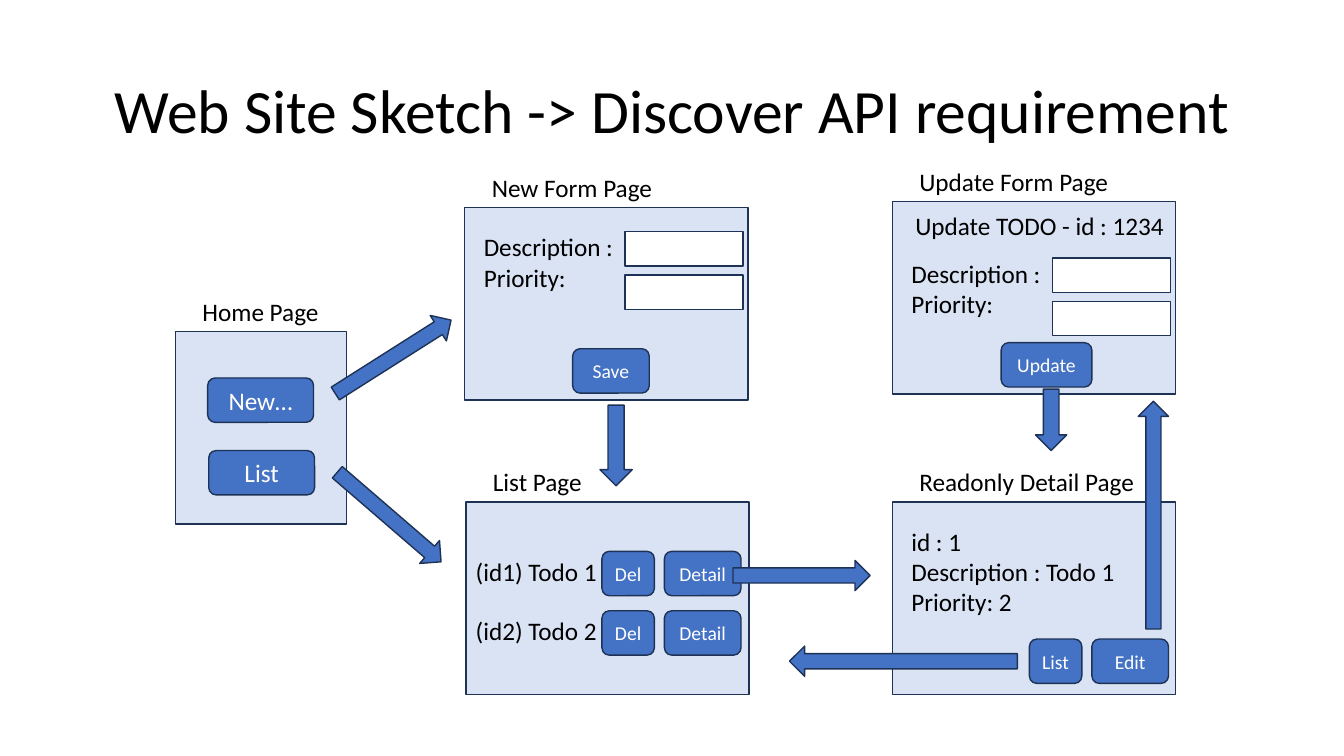
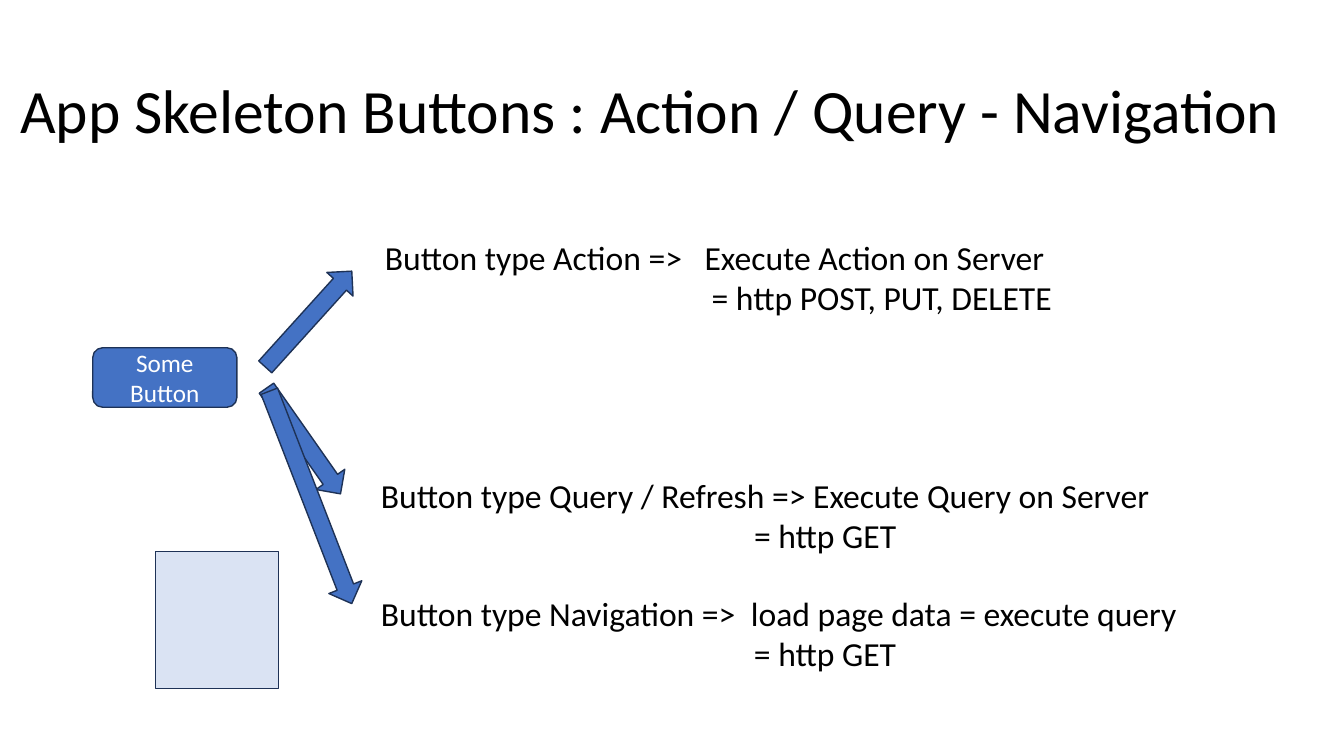
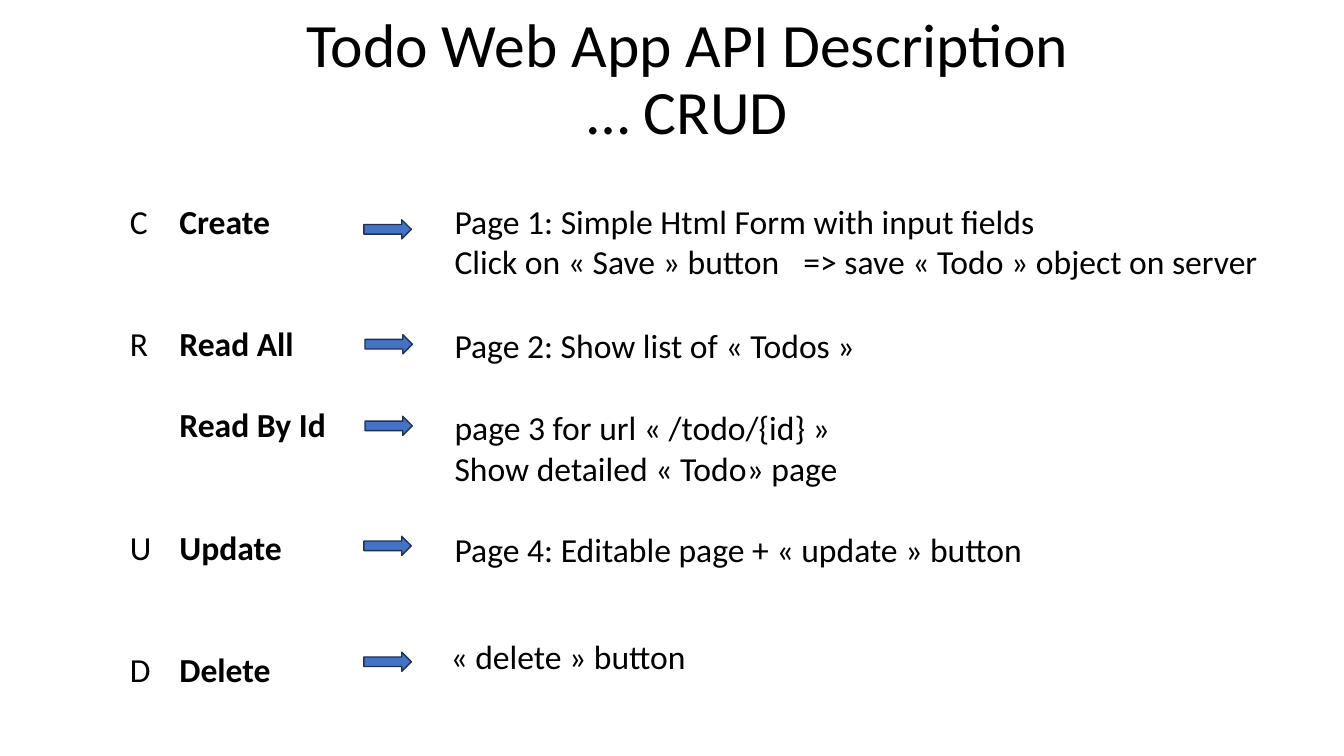
from dataclasses import dataclass

from lxml.etree import SubElement
from pptx import Presentation
from pptx.dml.color import RGBColor
from pptx.enum.shapes import MSO_SHAPE as ShapeKind
from pptx.enum.text import MSO_ANCHOR as Anchor
from pptx.enum.text import MSO_AUTO_SIZE as AutoSize
from pptx.enum.text import PP_ALIGN as Align
from pptx.oxml.ns import qn
from pptx.shapes.autoshape import Shape
from pptx.slide import Slide
from pptx.text.text import _Paragraph as Paragraph
from pptx.util import Emu, Pt

PX = 9144
FONT = "Calibri"
BLACK, WHITE = "000000", "FFFFFF"
BLUE, PALE, OUTLINE = "4472C4", "DAE3F3", "1E3256"
LINE_FACTOR = 1.22
TITLE_ONLY = 5


@dataclass(frozen=True)
class Box:
    x: int
    y: int
    width: int
    height: int


@dataclass(frozen=True)
class Label:
    x: int
    y: int
    width: int
    lines: tuple[str, ...]
    size: int = 18
    tab: int = 0
    indent: int = 0


@dataclass(frozen=True)
class Page:
    caption: str
    caption_width: int
    box: Box


@dataclass(frozen=True)
class Button:
    text: str
    x: int
    y: int
    width: int
    height: int = 44
    size: int = 14


@dataclass(frozen=True)
class Arrow:
    x: int
    y: int
    width: int
    height: int = 30
    rotation: float = 0


@dataclass(frozen=True)
class Operation:
    letter: str
    name: str
    blank_lines: int


PAGES = (
    Page("Home Page", 137, Box(174, 329, 170, 191)),
    Page("List Page", 109, Box(462, 498, 281, 191)),
    Page("Readonly Detail Page", 236, Box(885, 498, 281, 191)),
    Page("New Form Page", 181, Box(461, 206, 281, 191)),
    Page("Update Form Page", 210, Box(885, 200, 281, 191)),
)
SKETCH_LABELS = (
    Label(894, 517, 225, ("id : 1", "Description : Todo 1", "Priority: 2")),
    Label(898, 204, 270, ("Update TODO - id : 1234",)),
)
FORM_ORIGINS = ((470, 225), (894, 251))
TODO_ROWS = (("(id1) Todo 1", 547), ("(id2) Todo 2", 606))
SKETCH_BUTTONS = (
    Button("New…", 206, 375, 105, size=18),
    Button("List", 207, 447, 105, size=18),
    Button("List", 1021, 634, 52),
    Button("Edit", 1083, 634, 76),
    Button("Save", 568, 346, 76),
    Button("Update", 993, 340, 90),
)
SKETCH_ARROWS = (
    Arrow(322, 339, 136, rotation=327.6),
    Arrow(318, 498, 136, rotation=40.8),
    Arrow(727, 556, 136),
    Arrow(783, 641, 226, rotation=180),
    Arrow(1031, 496, 226, rotation=270),
    Arrow(571, 426, 80, 32, 90),
    Arrow(1012, 401, 61, 31, 90),
)
BUTTON_TYPES = (
    Label(372, 230, 681, ("Button type Action =>\tExecute Action on Server",
                          "= http POST, PUT, DELETE"), 24, 317, 324),
    Label(368, 466, 783, ("Button type Query / Refresh => Execute Query on Server",
                          "= http GET"), 24, indent=370),
    Label(368, 583, 817, ("Button type Navigation =>\tload page data = execute query",
                          "= http GET"), 24, 367, 370),
)
BUTTON_ARROWS = (
    Arrow(242, 299, 128, 35, 312.1),
    Arrow(237, 420, 128, 35, 55),
    Arrow(195, 476, 226, 35, 68.8),
)
OPERATIONS = (
    Operation("C", "Create", 0),
    Operation("R", "Read All", 2),
    Operation("", "Read By Id", 1),
    Operation("U", "Update", 2),
    Operation("D", "Delete", 2),
)
DESCRIPTIONS = (
    Label(441, 194, 823, ("Page 1: Simple Html Form with input fields",
                          "Click on « Save » button\t=> save « Todo » object on server"),
          24, 346),
    Label(441, 317, 420, ("Page 2: Show list of « Todos »",), 24),
    Label(441, 399, 403, ("page 3 for url « /todo/{id} »", "Show detailed « Todo» page"), 24),
    Label(441, 520, 589, ("Page 4: Editable page + « update » button",), 24),
    Label(437, 626, 256, ("« delete » button",), 24),
)
CRUD_ARROWS = tuple(
    Arrow(x, y, 47, 19)
    for x, y in ((361, 218), (362, 332), (362, 413), (361, 532), (361, 647))
)


def px(length: int) -> Emu:
    return Emu(length * PX)


def color(value: str) -> RGBColor:
    return RGBColor.from_string(value)


def format_paragraph(paragraph: Paragraph, size: int, ink: str = BLACK,
                     align: Align = Align.LEFT) -> None:
    paragraph.alignment = align
    paragraph.font.name = FONT
    paragraph.font.size = Pt(size)
    paragraph.font.color.rgb = color(ink)


def add_tab_stop(paragraph: Paragraph, position: int) -> None:
    tabs = SubElement(paragraph._p.get_or_add_pPr(), qn("a:tabLst"))
    SubElement(tabs, qn("a:tab"), pos=str(px(position)), algn="l")


def add_titled_slide(presentation: Presentation, lines: tuple[str, ...], box: Box,
                     align: Align = Align.CENTER) -> Slide:
    slide = presentation.slides.add_slide(presentation.slide_layouts[TITLE_ONLY])
    title = slide.shapes.title
    title.left, title.top = px(box.x), px(box.y)
    title.width, title.height = px(box.width), px(box.height)
    frame = title.text_frame
    frame.auto_size = AutoSize.NONE
    frame.vertical_anchor = Anchor.MIDDLE
    paragraph = frame.paragraphs[0]
    for index, line in enumerate(lines):
        if index:
            paragraph.add_line_break()
        paragraph.add_run().text = line
    paragraph.line_spacing = 0.9
    format_paragraph(paragraph, 44, align=align)
    return slide


def add_outlined(slide: Slide, kind: ShapeKind, box: Box, fill: str) -> Shape:
    shape = slide.shapes.add_shape(kind, px(box.x), px(box.y), px(box.width), px(box.height))
    shape.shadow.inherit = False
    shape.fill.solid()
    shape.fill.fore_color.rgb = color(fill)
    shape.line.color.rgb = color(OUTLINE)
    shape.line.width = Pt(1)
    return shape


def add_button(slide: Slide, button: Button) -> None:
    box = Box(button.x, button.y, button.width, button.height)
    shape = add_outlined(slide, ShapeKind.ROUNDED_RECTANGLE, box, BLUE)
    shape.text_frame.word_wrap = True
    shape.text_frame.vertical_anchor = Anchor.MIDDLE
    paragraph = shape.text_frame.paragraphs[0]
    paragraph.text = button.text
    format_paragraph(paragraph, button.size, WHITE, Align.CENTER)


def add_arrow(slide: Slide, arrow: Arrow) -> None:
    box = Box(arrow.x, arrow.y, arrow.width, arrow.height)
    add_outlined(slide, ShapeKind.RIGHT_ARROW, box, BLUE).rotation = arrow.rotation


def add_label(slide: Slide, label: Label) -> None:
    height = 10 + round(len(label.lines) * label.size * 1.7)
    shape = slide.shapes.add_textbox(px(label.x), px(label.y), px(label.width + 6), px(height))
    frame = shape.text_frame
    frame.word_wrap = True
    for index, line in enumerate(label.lines):
        paragraph = frame.add_paragraph() if index else frame.paragraphs[0]
        paragraph.text = line
        if index and label.indent:
            paragraph._p.get_or_add_pPr().set("marL", str(px(label.indent)))
        if "\t" in line:
            add_tab_stop(paragraph, label.tab)
        format_paragraph(paragraph, label.size)


def add_page(slide: Slide, page: Page) -> None:
    add_outlined(slide, ShapeKind.RECTANGLE, page.box, PALE)
    add_label(slide, Label(page.box.x + 17, page.box.y - 40, page.caption_width, (page.caption,)))


def add_form(slide: Slide, x: int, y: int) -> None:
    add_label(slide, Label(x, y, 150, ("Description :", "Priority:")))
    for row in range(2):
        field = Box(x + 150, y + 5 + 43 * row, 117, 34)
        add_outlined(slide, ShapeKind.RECTANGLE, field, WHITE)


def add_operations(slide: Slide) -> None:
    size = 24
    shape = slide.shapes.add_textbox(px(119), px(194), px(218), px(495))
    frame = shape.text_frame
    frame.word_wrap = True
    for index, operation in enumerate(OPERATIONS):
        paragraph = frame.add_paragraph() if index else frame.paragraphs[0]
        paragraph.add_run().text = f"{operation.letter}\t"
        name = paragraph.add_run()
        name.text = operation.name
        name.font.bold = True
        add_tab_stop(paragraph, 49)
        if operation.blank_lines:
            paragraph.space_before = Pt(round(operation.blank_lines * size * LINE_FACTOR, 1))
        format_paragraph(paragraph, size)


def build_sketch(presentation: Presentation) -> None:
    slide = add_titled_slide(presentation, ("Web Site Sketch -> Discover API requirement",),
                             Box(92, 40, 1150, 145))
    for page in PAGES:
        add_page(slide, page)
    for x, y in FORM_ORIGINS:
        add_form(slide, x, y)
    for label in SKETCH_LABELS:
        add_label(slide, label)
    for text, y in TODO_ROWS:
        add_button(slide, Button("Del", 597, y, 52))
        add_button(slide, Button("Detail", 659, y, 76))
        add_label(slide, Label(462, y, 142, (text,)))
    for button in SKETCH_BUTTONS:
        add_button(slide, button)
    for arrow in SKETCH_ARROWS:
        add_arrow(slide, arrow)


def build_button_types(presentation: Presentation) -> None:
    slide = add_titled_slide(presentation,
                             ("App Skeleton Buttons : Action / Query - Navigation",),
                             Box(10, 40, 1316, 145), Align.LEFT)
    for label in BUTTON_TYPES:
        add_label(slide, label)
    add_button(slide, Button("Some Button", 92, 345, 143, 59, 18))
    add_outlined(slide, ShapeKind.RECTANGLE, Box(154, 547, 122, 136), PALE)
    for arrow in BUTTON_ARROWS:
        add_arrow(slide, arrow)


def build_crud(presentation: Presentation) -> None:
    slide = add_titled_slide(presentation, ("Todo Web App API Description", "… CRUD"),
                             Box(107, -29, 1150, 219))
    add_operations(slide)
    for label in DESCRIPTIONS:
        add_label(slide, label)
    for arrow in CRUD_ARROWS:
        add_arrow(slide, arrow)


def main() -> None:
    presentation = Presentation()
    presentation.slide_width = px(1333)
    presentation.slide_height = px(750)
    build_sketch(presentation)
    build_button_types(presentation)
    build_crud(presentation)
    presentation.save("out.pptx")


if __name__ == "__main__":
    main()
